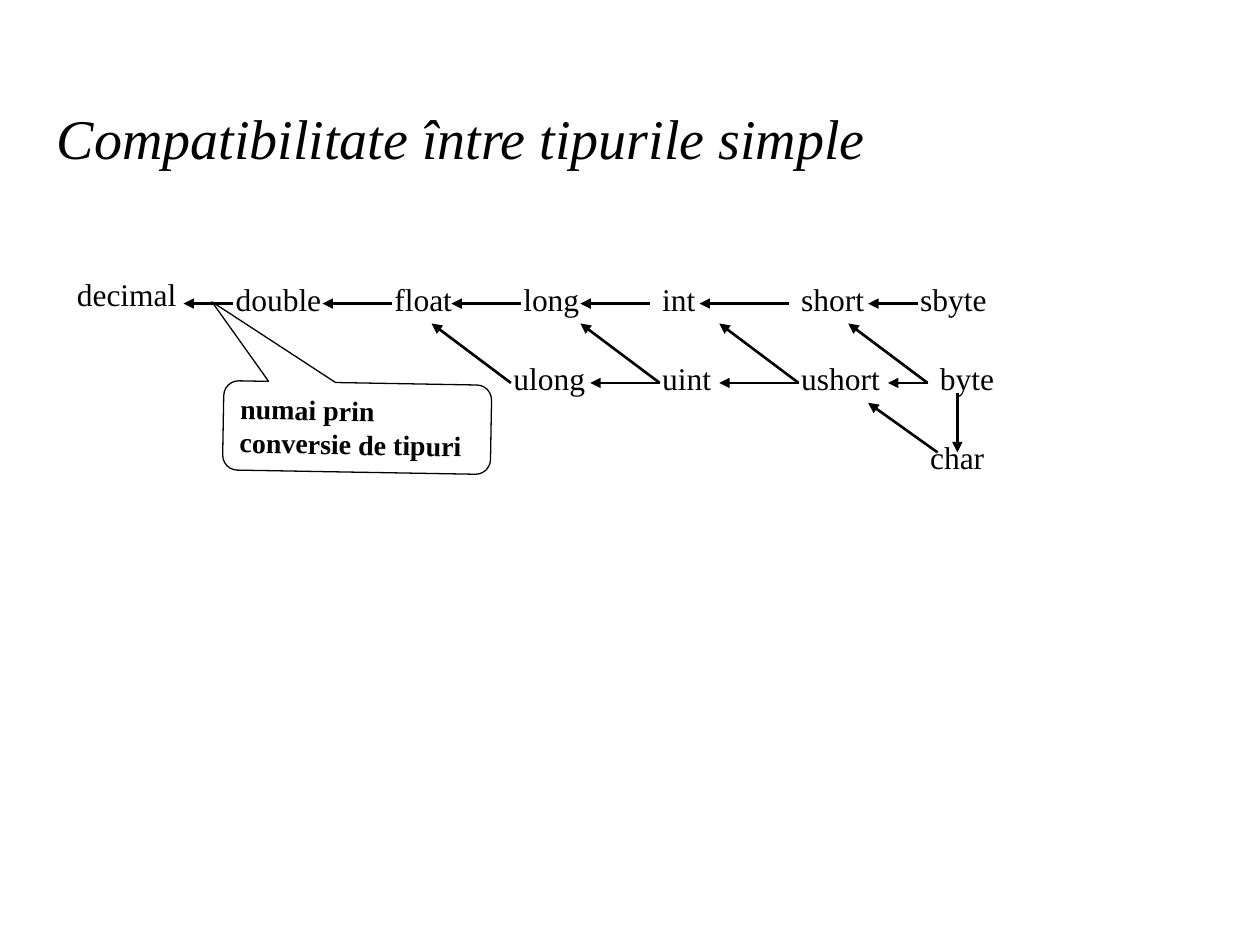
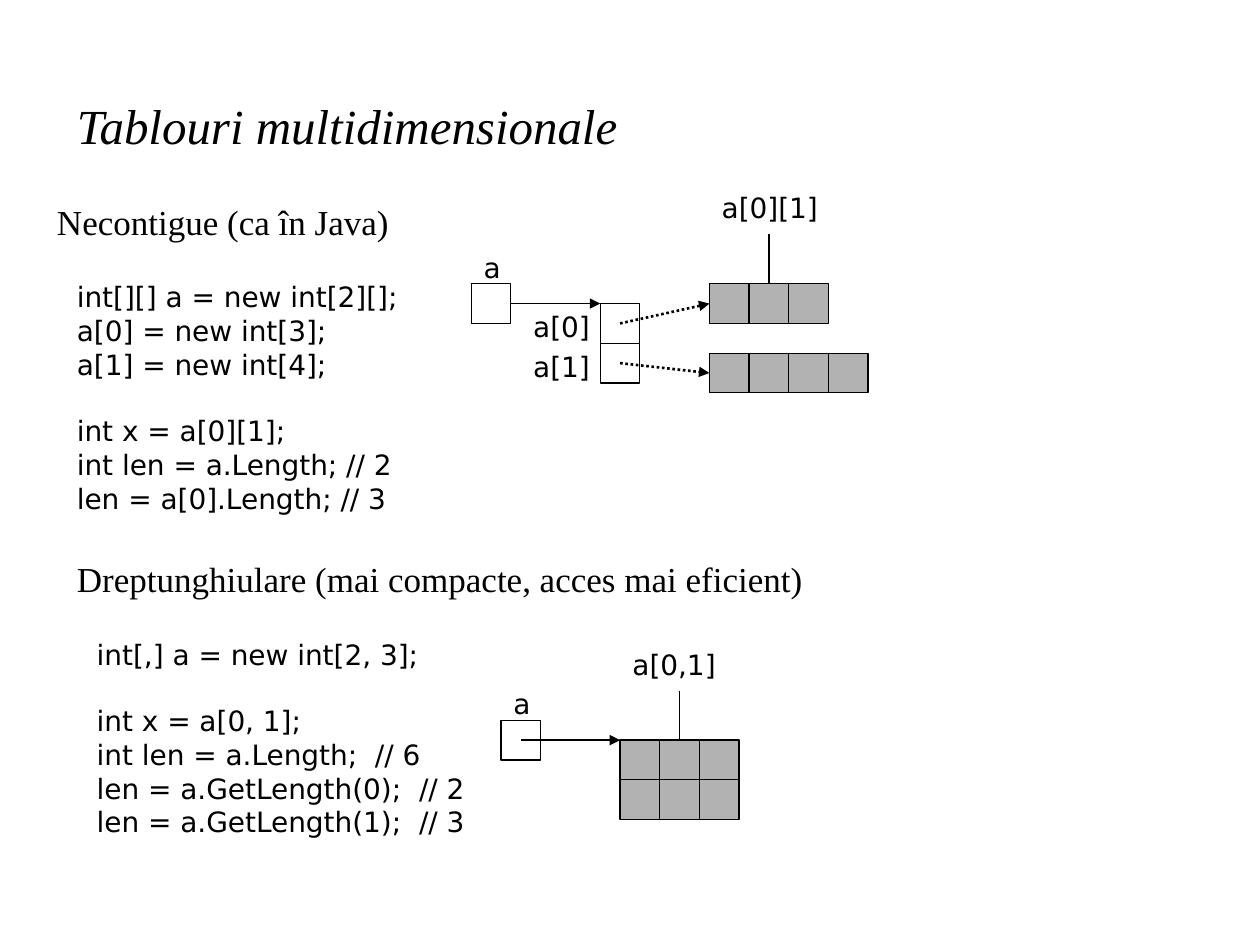
import pptx
import pptx.dml.color
import pptx.enum.dml
import pptx.enum.shapes
import pptx.enum.text
import pptx.oxml.ns
import pptx.util
from lxml import etree

SLIDE_W, SLIDE_H = pptx.util.Inches(10), pptx.util.Inches(7.5)
UNIT = SLIDE_W / 127  # grid step, shared by columns and rows
CELL = 4  # side of an array cell, in grid steps
COLORS = {"ink": "000000", "paper": "FFFFFF", "element": "B2B2B2"}
SERIF, CODE = "Times New Roman", "DejaVu Sans"
SHAPES = pptx.enum.shapes.MSO_SHAPE


def size(steps):
    return round(steps * UNIT)


def x(col):
    return size(col + 0.5)


def y(row):
    return size(row + 0.6)


def color(name):
    return pptx.dml.color.RGBColor.from_string(COLORS[name])


def style(p, font, pt, bold=False, italic=False):
    p.alignment = pptx.enum.text.PP_ALIGN.LEFT
    for r in p.runs:
        r.font.name, r.font.size = font, pptx.util.Pt(pt)
        r.font.bold, r.font.italic = bold, italic
        r.font.color.rgb = color("ink")


def add_text(slide, col, row, cols, rows, text, font, pt, italic=False):
    sp = slide.shapes.add_textbox(x(col), y(row), size(cols), size(rows))
    tf = sp.text_frame
    tf.word_wrap = True
    tf.text = text
    for p in tf.paragraphs:
        style(p, font, pt, italic=italic)
    return tf


def add_title(slide, col, row, rows, text, pt):
    tf = add_text(slide, col, row, 108, rows, text, SERIF, pt, italic=True)
    tf.vertical_anchor = pptx.enum.text.MSO_ANCHOR.MIDDLE


def add_type(slide, col, row, name):
    tf = add_text(slide, col, row, 14, CELL, name, SERIF, 18)
    tf.paragraphs[0].line_spacing = 0.7


def add_code(slide, col, row, cols, rows, *blocks):
    """Code whose blocks are set one line apart."""
    tf = add_text(slide, col, row, cols, rows, "\n".join(blocks), CODE, 16)
    start = 0
    for block in blocks[:-1]:
        start += len(block.split("\n"))
        tf.paragraphs[start].space_before = pptx.util.Pt(19)


def add_label(slide, col, row, cols, text):
    add_text(slide, col, row, cols, 4.7, text, CODE, 16)


def add_line(slide, start, end, pt=1.5, arrow=True, dotted=False):
    (c1, r1), (c2, r2) = start, end
    line = slide.shapes.add_connector(
        pptx.enum.shapes.MSO_CONNECTOR.STRAIGHT, x(c1), y(r1), x(c2), y(r2))
    line.line.color.rgb = color("ink")
    line.line.width = pptx.util.Pt(pt)
    if dotted:
        line.line.dash_style = pptx.enum.dml.MSO_LINE.ROUND_DOT
    qn = pptx.oxml.ns.qn
    if arrow:
        ln = line.line._get_or_add_ln()
        etree.SubElement(ln, qn("a:tailEnd"), type="triangle")
    etree.SubElement(line._element.spPr, qn("a:effectLst"))


def add_box(slide, kind, col, row, cols, rows, fill):
    sp = slide.shapes.add_shape(kind, x(col), y(row), size(cols), size(rows))
    sp.shadow.inherit = False
    sp.fill.solid()
    sp.fill.fore_color.rgb = color(fill)
    sp.line.color.rgb = color("ink")
    sp.line.width = pptx.util.Pt(0.75)
    return sp


def add_cells(slide, col, row, across=1, down=1, fill="element"):
    for j in range(down):
        for i in range(across):
            add_box(slide, SHAPES.RECTANGLE, col + i * CELL, row + j * CELL,
                    CELL, CELL, fill)


def add_callout(slide, col, row, cols, rows, text):
    sp = add_box(slide, SHAPES.ROUNDED_RECTANGULAR_CALLOUT,
                 col, row, cols, rows, "paper")
    sp.rotation = 1
    sp.adjustments[0], sp.adjustments[1] = -0.55, -1.38
    tf = sp.text_frame
    tf.word_wrap = True
    tf.vertical_anchor = pptx.enum.text.MSO_ANCHOR.TOP
    tf.text = text
    style(tf.paragraphs[0], SERIF, 16, bold=True)


def build_compatibility(slide):
    add_title(slide, 4, 9, 8.5, "Compatibilitate între tipurile simple", 32)

    types = {
        27.5: [(6, "decimal")],
        28: [(22, "double"), (38, "float"), (51, "long"), (65, "int"),
             (79, "short"), (91, "sbyte")],
        36: [(50, "ulong"), (65, "uint"), (79, "ushort"), (93, "byte")],
        44: [(92, "char")],
    }
    for row, names in types.items():
        for col, name in names:
            add_type(slide, col, row, name)

    signed, unsigned, diagonal_end = 30, 38, 32
    for start, end in [(23, 18), (39, 32), (52, 45), (65, 58), (79, 70), (92, 87)]:
        add_line(slide, (start, signed), (end, signed))
    for start, end in [(66, 59), (80, 72), (93, 89)]:
        add_line(slide, (start, unsigned), (end, unsigned))
    for start, end in [(51, 43), (66, 58), (80, 72), (93, 85)]:
        add_line(slide, (start, unsigned), (end, diagonal_end))
    add_line(slide, (96, 39), (96, 45))
    add_line(slide, (94, 45), (87, 40))

    add_callout(slide, 22, 38, 27, 9, "numai prin conversie de tipuri")


def build_jagged(slide):
    add_text(slide, 4, 19, 40, 5.5, "Necontigue (ca în Java)", SERIF, 20)
    add_code(slide, 6, 27, 40, 25,
             "int[][] a = new int[2][];\na[0] = new int[3];\na[1] = new int[4];",
             "int x = a[0][1];\nint len = a.Length; // 2\nlen = a[0].Length; // 3")
    add_cells(slide, 47, 28, fill="paper")
    add_cells(slide, 60, 30, down=2, fill="paper")
    add_cells(slide, 71, 28, across=3)
    add_cells(slide, 71, 35, across=4)
    add_label(slide, 47, 24, 4, "a")
    add_label(slide, 52, 30, 9, "a[0]")
    add_label(slide, 52, 34, 9, "a[1]")
    add_label(slide, 71, 18, 14, "a[0][1]")
    add_line(slide, (51, 30), (60, 30), pt=1)
    add_line(slide, (62, 32), (71, 30), dotted=True)
    add_line(slide, (62, 36), (71, 37), dotted=True)
    add_line(slide, (77, 23), (77, 28), pt=0.75, arrow=False)


def build_rectangular(slide):
    add_text(slide, 6, 55, 80, 5.5,
             "Dreptunghiulare (mai compacte, acces mai eficient)", SERIF, 20)
    add_code(slide, 8, 63, 44, 21.5,
             "int[,] a = new int[2, 3];",
             "int x = a[0, 1];\nint len = a.Length;  // 6\n"
             "len = a.GetLength(0);  // 2\nlen = a.GetLength(1);  // 3")
    add_cells(slide, 50, 72, fill="paper")
    add_cells(slide, 62, 74, across=3, down=2)
    add_label(slide, 50, 68, 4, "a")
    add_label(slide, 62, 64, 12, "a[0,1]")
    add_line(slide, (52, 74), (62, 74))
    add_line(slide, (68, 69), (68, 74), pt=0.75, arrow=False)


def main():
    prs = pptx.Presentation()
    prs.slide_width, prs.slide_height = SLIDE_W, SLIDE_H
    blank = prs.slide_layouts[6]

    build_compatibility(prs.slides.add_slide(blank))

    arrays = prs.slides.add_slide(blank)
    add_title(arrays, 6, 8, 8, "Tablouri multidimensionale", 28)
    build_jagged(arrays)
    build_rectangular(arrays)

    prs.save("out.pptx")


if __name__ == "__main__":
    main()
